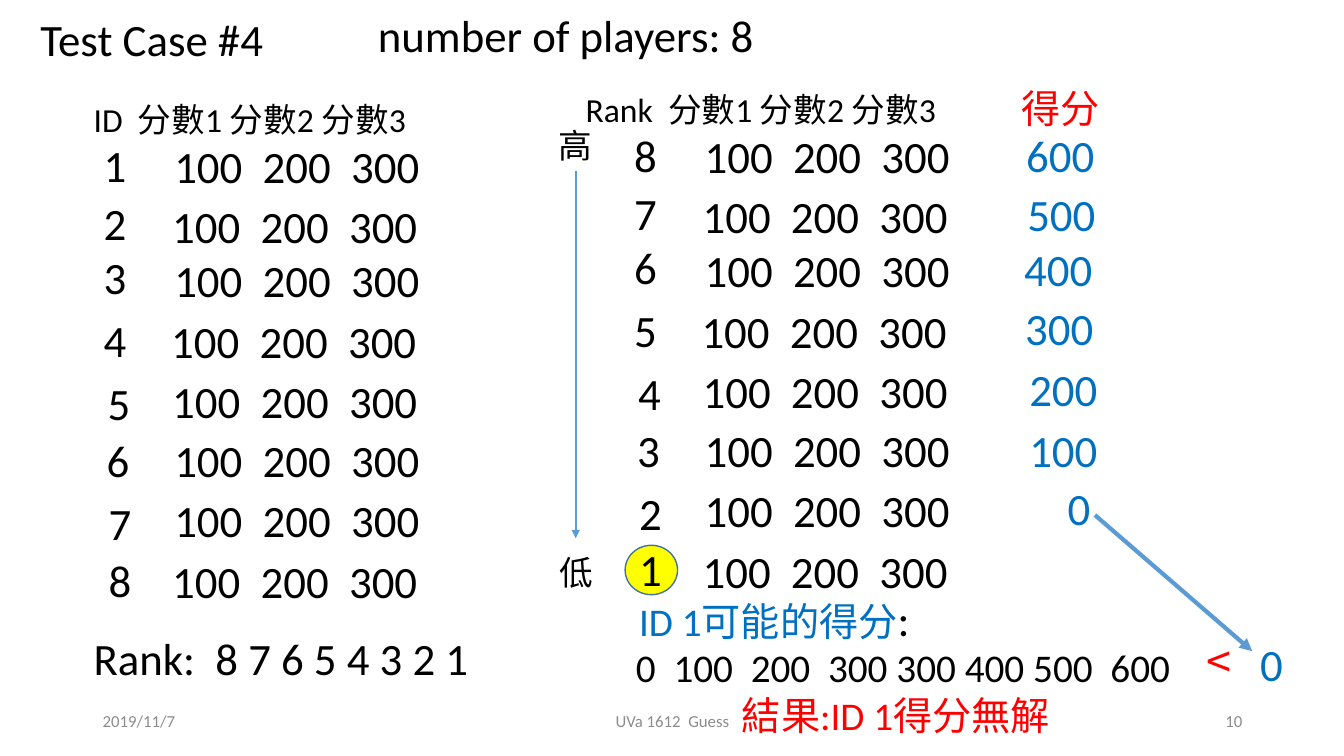
"""Build the slide that works through test case 4 of the Guess problem."""
from lxml.etree import SubElement
from pptx import Presentation
from pptx.dml.color import RGBColor
from pptx.enum.shapes import MSO_CONNECTOR, MSO_SHAPE
from pptx.enum.text import MSO_ANCHOR, MSO_AUTO_SIZE, PP_ALIGN
from pptx.oxml import parse_xml
from pptx.oxml.ns import nsdecls, qn
from pptx.util import Inches, Pt

BLACK, RED, BLUE, GRAY, SKY = "000000", "FF0000", "0070C0", "8C8C8C", "5B9BD5"
SCORES = "100  200  300"
ROUNDS = "分數1 分數2 分數3"

deck = Presentation()
deck.slide_width, deck.slide_height = Inches(13.33), Inches(7.5)
slide = deck.slides.add_slide(deck.slide_layouts[5])
shapes = slide.shapes


def color(hex_code):
    return RGBColor.from_string(hex_code)


def write(place, *parts, align=PP_ALIGN.LEFT, face="Calibri", box=None):
    """Write (text, size, colour) parts at the place (left, top, width, height)."""
    left, top, width, height = map(Inches, place)
    box = box or shapes.add_textbox(left, top, width, height)
    box.left, box.top, box.width, box.height = left, top, width, height
    frame = box.text_frame
    frame.word_wrap = True
    frame.auto_size = MSO_AUTO_SIZE.SHAPE_TO_FIT_TEXT
    frame.vertical_anchor = MSO_ANCHOR.TOP
    line = frame.paragraphs[0]
    line.alignment = align
    for text, size, ink in parts:
        run = line.add_run()
        run.text = text
        font = line.font if len(parts) == 1 else run.font
        font.name, font.size, font.color.rgb = face, Pt(size), color(ink)
    for latin in list(box._element.iter(qn("a:latin"))):
        latin.addnext(parse_xml(f'<a:ea {nsdecls("a")} typeface="Noto Sans CJK SC"/>'))
    return frame


write((0.3, 0.07, 2.68, 0.64), ("Test Case #4", 32, BLACK), box=shapes.title)
write((3.65, 0.03, 5.17, 0.64), ("number of players: 8", 32, BLACK))

lowest = shapes.add_shape(MSO_SHAPE.OVAL, Inches(6.2), Inches(5.41), Inches(0.52), Inches(0.49))
lowest.shadow.inherit = False
lowest.fill.solid()
lowest.fill.fore_color.rgb = color("FFFF00")
lowest.line.color.rgb = color("43739E")
lowest.line.width = Pt(1)

footers = [
    (0.92, 3, "2019/11/7", PP_ALIGN.LEFT),
    (4.42, 4.5, "UVa 1612  Guess", PP_ALIGN.CENTER),
    (9.42, 3, "10", PP_ALIGN.RIGHT),
]
for left, width, text, align in footers:
    footer = write((left, 6.95, width, 0.4), (text, 12, GRAY), align=align)
    footer.auto_size = MSO_AUTO_SIZE.NONE
    footer.vertical_anchor = MSO_ANCHOR.MIDDLE

label_spots = [(0.93, 1.32), (0.93, 1.89), (0.93, 2.43), (0.93, 3.05),
               (0.97, 3.68), (0.96, 4.24), (0.98, 4.87), (0.98, 5.43)]
score_spots = [(1.63, 1.33), (1.61, 1.92), (1.63, 2.46), (1.6, 3.06),
               (1.61, 3.66), (1.63, 4.24), (1.63, 4.84), (1.61, 5.44)]
sides = [(0, 0, range(1, 9)), (5.26, -0.1, range(8, 0, -1))]
for shift, lift, labels in sides:
    for label, (label_x, label_y), (score_x, score_y) in zip(labels, label_spots, score_spots):
        write((label_x + shift, label_y + lift, 0.57, 0.64), (str(label), 32, BLACK))
        write((score_x + shift, score_y + lift, 2.75, 0.64), (SCORES, 32, BLACK))

write((0.83, 0.93, 3.93, 0.5), (f"ID  {ROUNDS}", 24, BLACK))
write((5.71, 0.83, 4.3, 0.5), (f"Rank  {ROUNDS}", 24, BLACK))
write((0.83, 6.21, 4.14, 0.64), ("Rank:  8 7 6 5 4 3 2 1", 32, BLACK))

write((10.03, 0.79, 1.29, 0.57), ("得分", 28, RED))
gain_spots = [(10.08, 1.22), (10.09, 1.8), (10.06, 2.35), (10.07, 2.93),
              (10.11, 3.54), (10.11, 4.14), (10.49, 4.72)]
for gain, (left, top) in zip(range(600, -1, -100), gain_spots):
    write((left, top, 1.12, 0.64), (str(gain), 32, BLUE))

write((5.44, 1.19, 0.8, 0.5), ("高", 24, BLACK))
write((5.45, 5.43, 0.8, 0.5), ("低", 24, BLACK))

write((6.24, 5.82, 3.19, 0.64), ("ID 1可能的得分", 28, BLUE), (":", 32, BLACK))
write((6.21, 6.33, 6.3, 0.57), ("0  100  200  300 300 400 500  600", 28, BLACK))
write((11.87, 6.24, 0.8, 0.64), ("<", 32, RED), face="Noto Sans CJK TC")
write((12.4, 6.27, 0.64, 0.64), ("0", 32, BLUE))
write((7.26, 6.81, 4.05, 0.57), ("結果:ID 1得分無解", 28, RED))

arrows = [(5.71, 1.7, 5.71, 5.34, 1.5), (10.86, 5.11, 12.42, 6.46, 3)]
for *ends, weight in arrows:
    arrow = shapes.add_connector(MSO_CONNECTOR.STRAIGHT, *map(Inches, ends))
    arrow.line.color.rgb = color(SKY)
    arrow.line.width = Pt(weight)
    SubElement(arrow.line._get_or_add_ln(), qn("a:tailEnd"), type="triangle")
    SubElement(arrow._element.spPr, qn("a:effectLst"))

deck.save("out.pptx")
